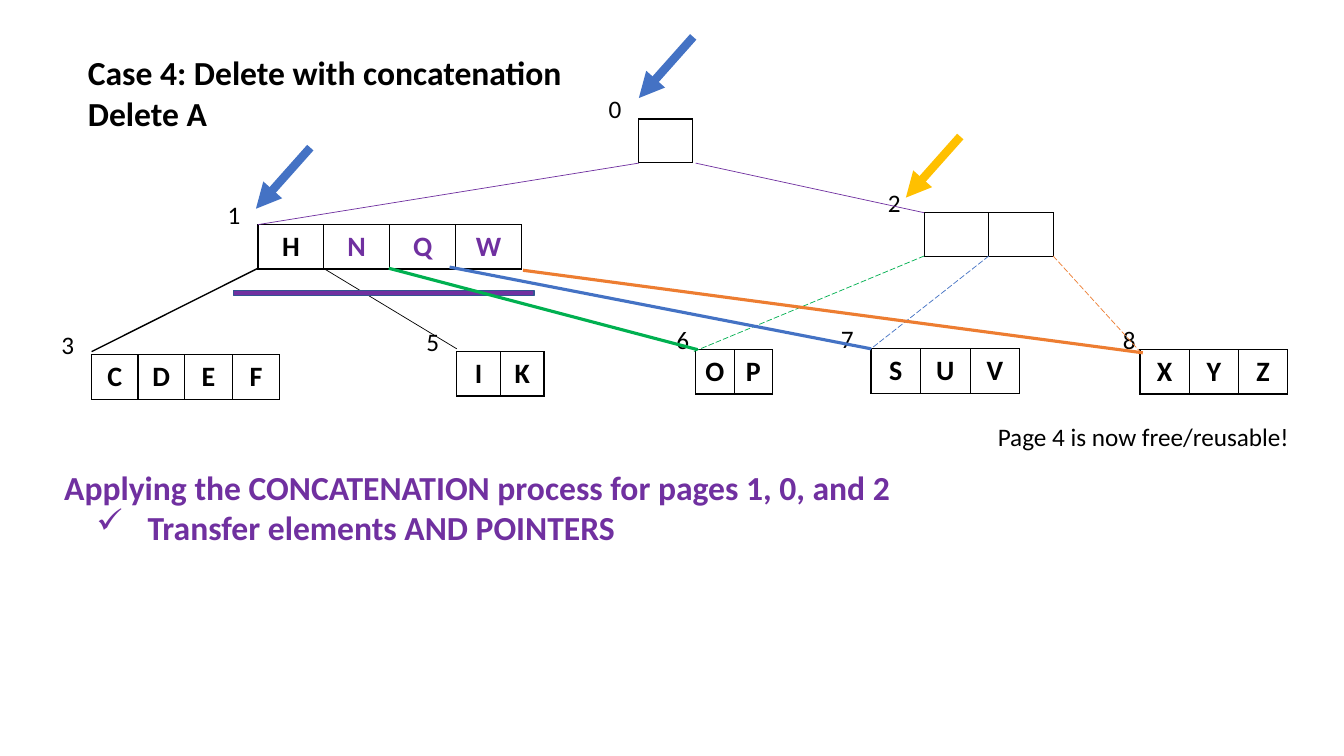
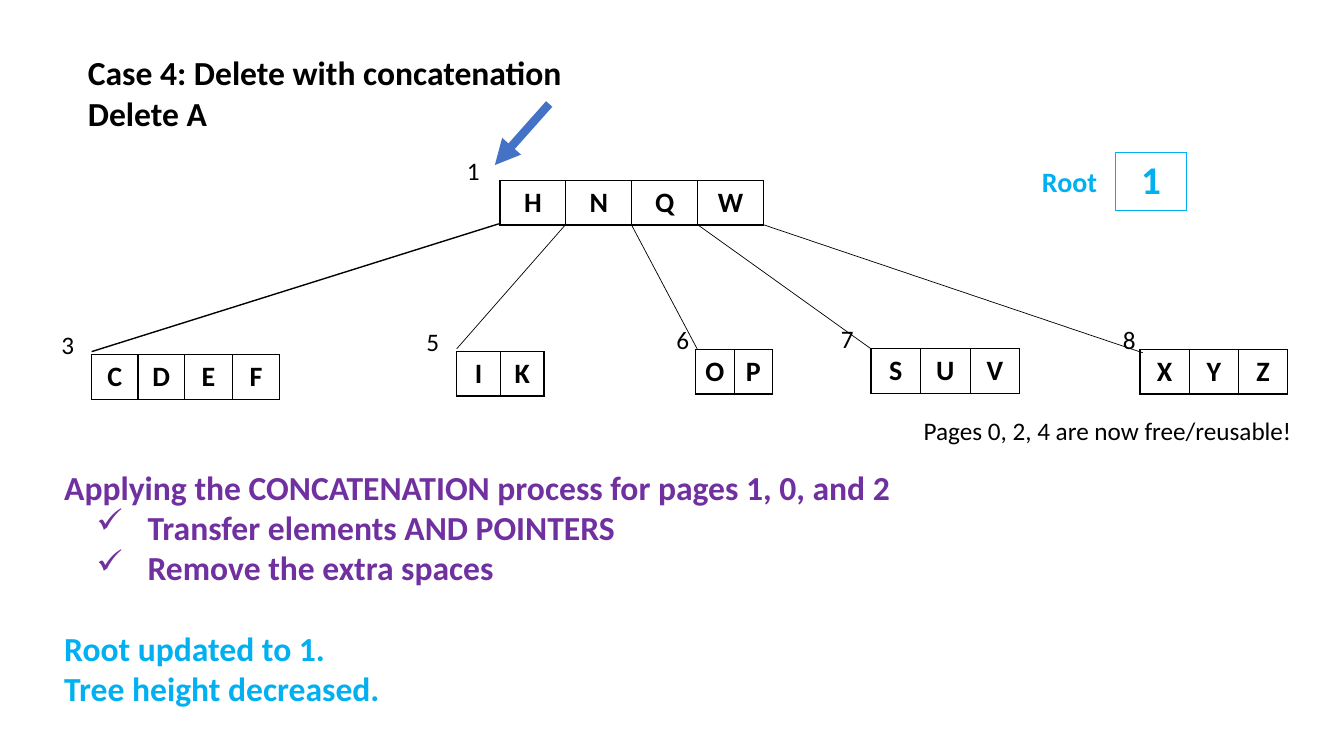
from pptx import Presentation, util as u
from pptx.dml.color import RGBColor
from pptx.enum import dml, shapes, text
from pptx.oxml.ns import qn
from lxml import etree

BLACK = RGBColor(0, 0, 0)
WHITE = RGBColor(255, 255, 255)
PURPLE = RGBColor(0x70, 0x30, 0xA0)
GREEN = RGBColor(0x00, 0xB0, 0x50)
BLUE = RGBColor(0x44, 0x72, 0xC4)
NAVY = RGBColor(0x32, 0x54, 0x91)
ORANGE = RGBColor(0xED, 0x7D, 0x31)
GOLD = RGBColor(0xFF, 0xC0, 0x00)
SKY = RGBColor(0x00, 0xB0, 0xF0)

LEFT, MID = text.PP_ALIGN.LEFT, text.PP_ALIGN.CENTER
HEAD = dict(size=u.Pt(24), bold=True)
KEY = dict(size=u.Pt(20), bold=True)
ROOT = dict(size=u.Pt(28), bold=True)
NOTE = dict(size=u.Pt(18), bold=False)
ROW = 1.1


def put(item, **vals):
    for name, val in vals.items():
        setattr(item, name, val)


def box(*nums):
    return [u.Cm(n) for n in nums]


class Deck:
    def __init__(self):
        self.prs = Presentation()
        put(self.prs, slide_width=u.Cm(33.87), slide_height=u.Cm(19.05))

    def page(self, *lines):
        self.slide = self.prs.slides.add_slide(self.prs.slide_layouts[5])
        title = self.slide.shapes.title
        put(title, **dict(zip(("left", "top", "width", "height"),
                              box(1.96, 1.19, 12.57, 2.31))))
        self.fill(title.text_frame, lines, HEAD)

    def style(self, para, words, form, tint=BLACK, align=LEFT):
        para.alignment = align
        run = para.add_run()
        run.text = words
        put(run.font, name="Calibri", **form)
        run.font.color.rgb = tint

    def fill(self, frame, lines, form, tint=BLACK, align=LEFT, wrap=False):
        put(frame, word_wrap=wrap, auto_size=text.MSO_AUTO_SIZE.NONE,
            vertical_anchor=text.MSO_ANCHOR.TOP)
        for num, words in enumerate(lines):
            para = frame.add_paragraph() if num else frame.paragraphs[0]
            self.style(para, words, form, tint, align)

    def label(self, x, y, wide, words, form=NOTE, tint=BLACK, align=MID):
        area = self.slide.shapes.add_textbox(*box(x, y, wide, 1.02))
        self.fill(area.text_frame, [words], form, tint, align, True)

    def edge(self, cell, tint):
        props = cell._tc.get_or_add_tcPr()
        for side in ("a:lnL", "a:lnR", "a:lnT", "a:lnB"):
            line = etree.SubElement(props, qn(side), w=str(u.Pt(1)))
            solid = etree.SubElement(line, qn("a:solidFill"))
            etree.SubElement(solid, qn("a:srgbClr"), val=str(tint))

    def node(self, x, y, wide, keys, name="", gap=1.02, tints=None,
             form=KEY, high=ROW, rim=BLACK):
        count = len(keys)
        grid = self.slide.shapes.add_table(
            1, count, *box(x, y, wide * count, high)).table
        put(grid, first_row=False, horz_banding=False)
        for num, key in enumerate(keys):
            grid.columns[num].width = u.Cm(wide)
            cell = grid.cell(0, num)
            put(cell, margin_left=u.Cm(0.1), margin_right=u.Cm(0.1))
            self.edge(cell, rim)
            cell.fill.solid()
            cell.fill.fore_color.rgb = WHITE
            if key.strip():
                tint = tints[num] if tints else BLACK
                self.style(cell.text_frame.paragraphs[0], key, form, tint, MID)
        if name:
            self.label(x - gap, y - 0.77, 0.84, name)

    def line(self, x, y, to_x, to_y, tint=BLACK, wide=0.5, dash=None):
        link = self.slide.shapes.add_connector(
            shapes.MSO_CONNECTOR.STRAIGHT, *box(x, y, to_x, to_y))
        put(link.line, width=u.Pt(wide), dash_style=dash)
        link.line.color.rgb = tint
        etree.SubElement(link._element.spPr, qn("a:effectLst"))
        return link

    def arrow(self, x, y, tint=BLUE):
        link = self.line(x + 1.37, y - 1.54, x, y, tint, 6)
        etree.SubElement(link.line._get_or_add_ln(), qn("a:tailEnd"),
                         type="triangle")

    def bar(self, x, y, wide, high):
        rect = self.slide.shapes.add_shape(
            shapes.MSO_SHAPE.RECTANGLE, *box(x, y, wide, high))
        rect.shadow.inherit = False
        rect.fill.solid()
        rect.fill.fore_color.rgb = PURPLE
        rect.line.color.rgb = NAVY
        rect.line.width = u.Pt(1)

    def leaves(self):
        self.node(2.31, 8.94, 1.17, "CD", "3")
        self.node(4.65, 8.94, 1.2, "EF")
        self.node(11.51, 8.86, 1.1, "IK", "5")
        self.node(17.53, 8.81, 0.97, "OP", "6", 0.74)
        self.node(21.95, 8.79, 1.25, "SUV", "7")
        self.node(28.73, 8.81, 1.24, "XYZ", "8", 0.69)

    def steps(self, high, ticks, ends=()):
        area = self.slide.shapes.add_textbox(*box(1.37, 11.63, 21.51, high))
        frame = area.text_frame
        lead = "Applying the CONCATENATION process for pages 1, 0, and 2"
        self.fill(frame, [lead, *ticks], HEAD, PURPLE)
        for para in frame.paragraphs[1:]:
            props = para._p.get_or_add_pPr()
            props.set("marL", str(u.Cm(2.1)))
            props.set("indent", str(u.Cm(-1.29)))
            etree.SubElement(props, qn("a:buChar"), char="\u2713")
        for num, words in enumerate(ends):
            para = frame.add_paragraph()
            para.space_before = u.Pt(0 if num else 29)
            self.style(para, words, HEAD, SKY)


TITLE = "Case 4: Delete with concatenation", "Delete A"
MOVE = "Transfer elements AND POINTERS"
DASH = dml.MSO_LINE.LONG_DASH
deck = Deck()

deck.page(*TITLE)
deck.node(16.1, 3, 1.36, " ", "0")
deck.node(6.5, 5.66, 1.66, "HNQW", "1", tints=[BLACK] + [PURPLE] * 3)
deck.node(23.29, 5.36, 1.63, "  ", "2", 1.17)
deck.leaves()
deck.label(24.84, 10.49, 7.95, "Page 4 is now free/reusable!")
deck.line(16.1, 4.11, 6.5, 5.66, PURPLE)
deck.line(17.53, 4.11, 23.29, 5.36, PURPLE)
deck.line(6.5, 6.76, 2.31, 8.86, wide=1)
deck.line(8.15, 6.76, 11.51, 8.79)
deck.line(23.29, 6.45, 17.48, 8.86, GREEN, dash=DASH)
deck.line(24.92, 6.45, 21.95, 8.79, BLUE, dash=DASH)
deck.line(26.54, 6.45, 28.73, 8.86, ORANGE, dash=DASH)
deck.arrow(16.1, 2.47)
deck.arrow(6.45, 5.26)
deck.arrow(22.83, 4.98, GOLD)
deck.bar(5.89, 7.32, 7.57, 0.13)
deck.line(9.8, 6.76, 17.58, 8.81, GREEN, 2.25)
deck.line(11.33, 6.73, 21.95, 8.79, BLUE, 2.25)
deck.line(13.18, 6.81, 28.8, 8.89, ORANGE, 2.25)
deck.steps(2.31, [MOVE])

deck.page(*TITLE)
deck.node(12.6, 4.55, 1.66, "HNQW", "1", 1.09)
deck.leaves()
deck.label(22.96, 10.34, 9.91, "Pages 0, 2, 4 are now free/reusable!")
deck.line(12.57, 5.64, 2.31, 8.86, wide=1)
deck.arrow(12.47, 4.16)
deck.line(14.27, 5.64, 11.51, 8.79)
deck.line(15.9, 5.64, 17.58, 8.81)
deck.line(17.58, 5.66, 21.95, 8.79)
deck.line(19.23, 5.66, 28.8, 8.89)
deck.steps(6.4, [MOVE, "Remove the extra spaces"],
           ["Root updated to 1.", "Tree height decreased."])
deck.node(28.12, 3.84, 1.78, "1", tints=[SKY], form=ROOT, high=1.45, rim=SKY)
deck.label(26.01, 4.01, 1.95, "Root", KEY, SKY, LEFT)

deck.prs.save("out.pptx")
